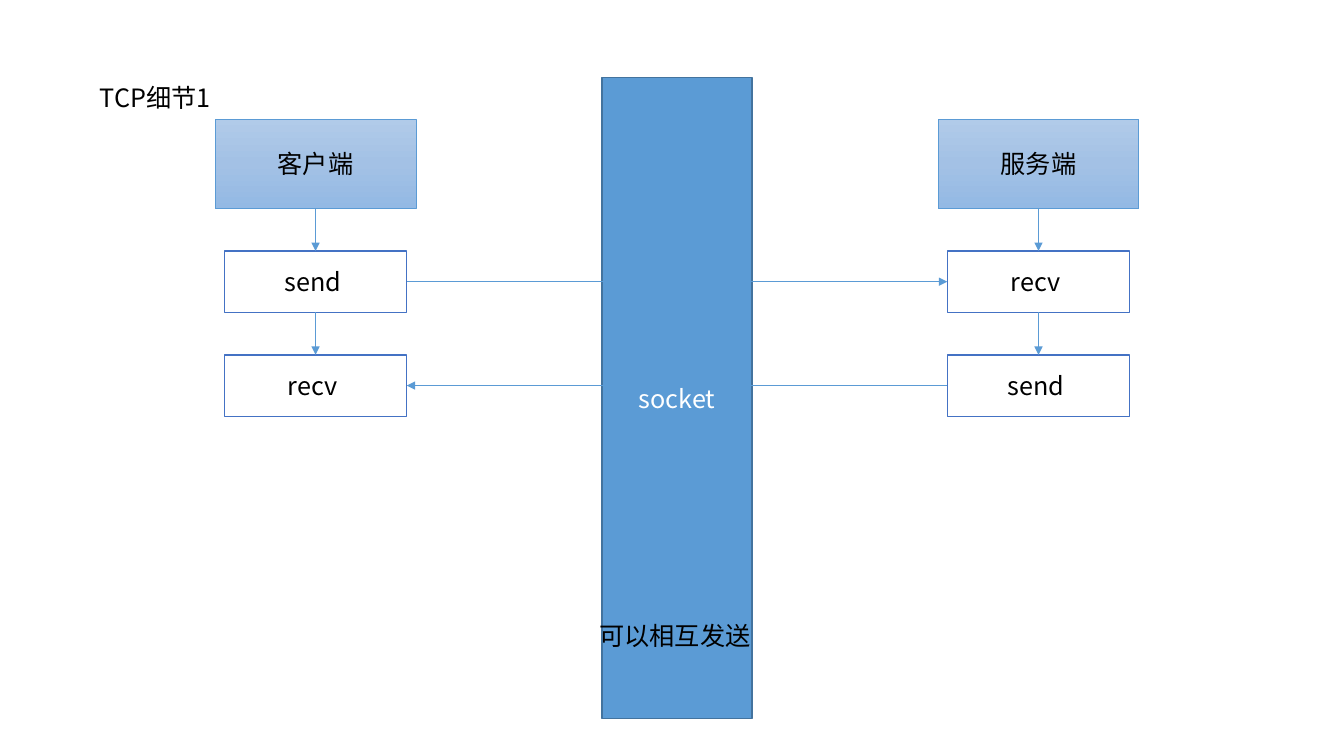
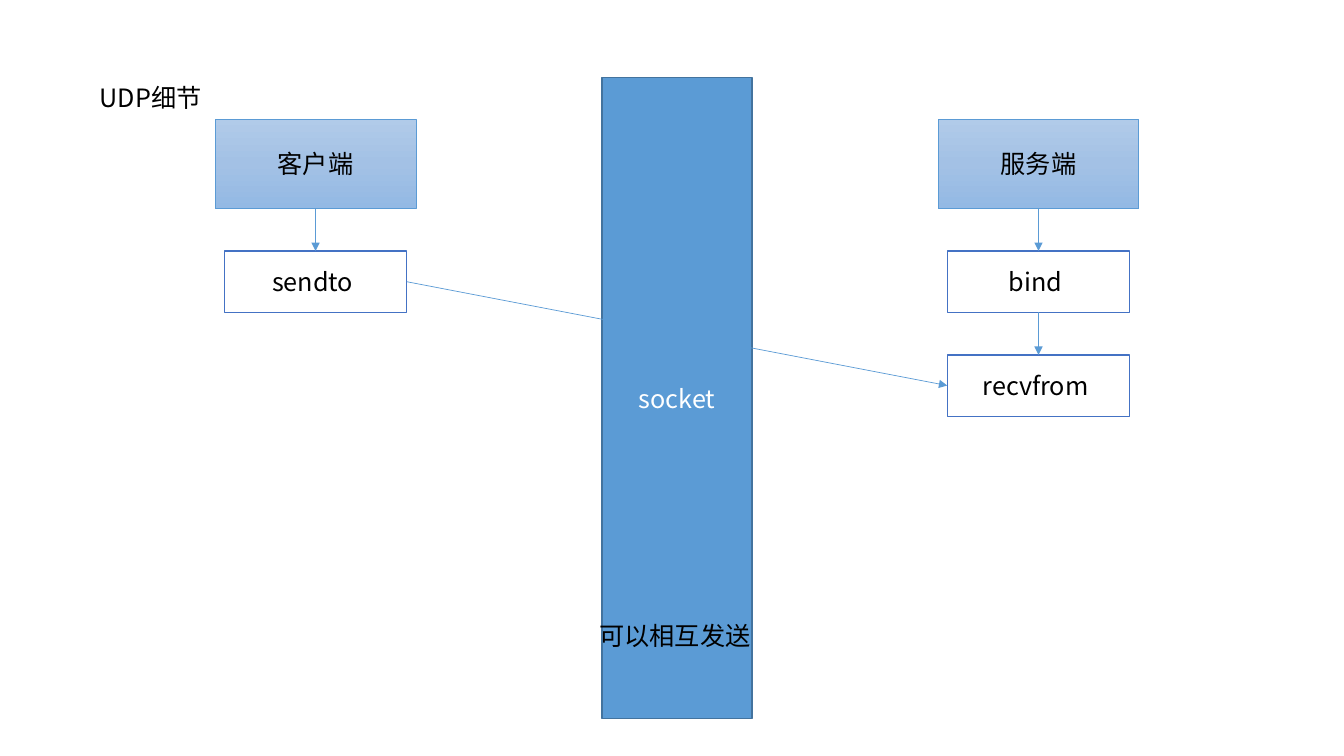
from copy import deepcopy
from dataclasses import dataclass
from itertools import pairwise

from lxml import etree
from pptx import Presentation
from pptx.dml.color import RGBColor
from pptx.enum.shapes import MSO_CONNECTOR, MSO_SHAPE
from pptx.enum.text import MSO_ANCHOR, MSO_AUTO_SIZE, PP_ALIGN
from pptx.oxml.ns import qn
from pptx.shapes.autoshape import Shape
from pptx.slide import Slide
from pptx.text.text import TextFrame
from pptx.util import Inches, Pt

RECT = MSO_SHAPE.RECTANGLE
STRAIGHT = MSO_CONNECTOR.STRAIGHT
TOP, MIDDLE = MSO_ANCHOR.TOP, MSO_ANCHOR.MIDDLE
LEFT_ALIGN, CENTER = PP_ALIGN.LEFT, PP_ALIGN.CENTER
GROW = MSO_AUTO_SIZE.SHAPE_TO_FIT_TEXT

FONT = "Noto Sans CJK SC"
SIZE = 18
BLACK, WHITE = "000000", "FFFFFF"
BLUE, DARK_BLUE, STEP_BLUE = "5B9BD5", "43739E", "4472C4"
GRADIENT = ((0, "B1CBE9"), (0.5, "A3C1E5"), (1, "93B9E4"))

TITLE_ONLY = 5
SITE_TOP, SITE_LEFT, SITE_BOTTOM, SITE_RIGHT = range(4)
CLIENT_X, SERVER_X = 3.13, 10.3
HEAD_Y, HEAD_W, HEAD_H = 1.18, 1.99, 0.89
STEP_Y, STEP_W, STEP_H, STEP_PITCH = 2.49, 1.81, 0.61, 1.03


@dataclass(frozen=True)
class Box:
    left: float
    top: float
    width: float
    height: float


@dataclass(frozen=True)
class Message:
    client_step: int
    server_step: int
    to_server: bool


@dataclass(frozen=True)
class Exchange:
    title: str
    client: tuple[str, ...]
    server: tuple[str, ...]
    messages: tuple[Message, ...]


TITLE_BOX = Box(0.89, 0.77, 1.39, 0.4)
SOCKET_BOX = Box(5.97, 0.77, 1.49, 6.36)
CAPTION_BOX = Box(5.79, 6.11, 1.84, 0.4)

EXCHANGES = (
    Exchange("TCP细节1", ("send ", "recv "), ("recv ", "send "),
             (Message(0, 0, True), Message(1, 1, False))),
    Exchange("UDP细节", ("sendto ",), ("bind ", "recvfrom "),
             (Message(0, 1, True),)),
)


def rgb(value: str) -> RGBColor:
    return RGBColor.from_string(value)


def place(box: Box) -> tuple[int, int, int, int]:
    return (Inches(box.left), Inches(box.top),
            Inches(box.width), Inches(box.height))


def write(tf: TextFrame, text: str, color: str, align: PP_ALIGN,
          anchor: MSO_ANCHOR) -> None:
    tf.text = text
    tf.word_wrap = True
    tf.vertical_anchor = anchor
    p = tf.paragraphs[0]
    p.alignment = align
    r = p.runs[0]
    r.font.size = Pt(SIZE)
    r.font.name = FONT
    r.font.color.rgb = rgb(color)
    etree.SubElement(r.font._element, qn("a:ea"), typeface=FONT)


def add_rect(s: Slide, box: Box, text: str, fill: str, line: str,
             weight: float, color: str = BLACK) -> Shape:
    sp = s.shapes.add_shape(RECT, *place(box))
    sp.shadow.inherit = False
    sp.fill.solid()
    sp.fill.fore_color.rgb = rgb(fill)
    sp.line.color.rgb = rgb(line)
    sp.line.width = Pt(weight)
    write(sp.text_frame, text, color, CENTER, MIDDLE)
    return sp


def apply_gradient(sp: Shape) -> None:
    sp.fill.gradient()
    sp.fill.gradient_angle = 270
    first = sp._element.spPr.find(".//" + qn("a:gs"))
    first.addnext(deepcopy(first))
    for stop, (position, color) in zip(sp.fill.gradient_stops, GRADIENT):
        stop.position = position
        stop.color.rgb = rgb(color)


def add_arrow(s: Slide, start: Shape, start_site: int,
              end: Shape, end_site: int) -> None:
    arrow = s.shapes.add_connector(STRAIGHT, 0, 0, 0, 0)
    arrow.begin_connect(start, start_site)
    arrow.end_connect(end, end_site)
    arrow.line.color.rgb = rgb(BLUE)
    arrow.line.width = Pt(0.5)
    etree.SubElement(arrow.line._get_or_add_ln(), qn("a:tailEnd"),
                     type="triangle")
    etree.SubElement(arrow._element.spPr, qn("a:effectLst"))


def add_column(s: Slide, center: float, name: str,
               labels: tuple[str, ...]) -> list[Shape]:
    head_box = Box(center - HEAD_W / 2, HEAD_Y, HEAD_W, HEAD_H)
    head = add_rect(s, head_box, name, BLUE, BLUE, 0.5)
    apply_gradient(head)
    steps = [
        add_rect(s, Box(center - STEP_W / 2, STEP_Y + i * STEP_PITCH,
                        STEP_W, STEP_H), label, WHITE, STEP_BLUE, 1)
        for i, label in enumerate(labels)
    ]
    for upper, lower in pairwise([head, *steps]):
        add_arrow(s, upper, SITE_BOTTOM, lower, SITE_TOP)
    return steps


def add_title(s: Slide, text: str) -> None:
    title = s.shapes.title
    title.left, title.top, title.width, title.height = place(TITLE_BOX)
    write(title.text_frame, text, BLACK, LEFT_ALIGN, TOP)
    title.text_frame.auto_size = GROW


def add_caption(s: Slide) -> None:
    tf = s.shapes.add_textbox(*place(CAPTION_BOX)).text_frame
    write(tf, " 可以相互发送", BLACK, LEFT_ALIGN, TOP)
    tf.auto_size = GROW


def add_exchange(prs: Presentation, exchange: Exchange) -> None:
    s = prs.slides.add_slide(prs.slide_layouts[TITLE_ONLY])
    add_title(s, exchange.title)
    add_rect(s, SOCKET_BOX, "socket", BLUE, DARK_BLUE, 1, WHITE)
    client = add_column(s, CLIENT_X, "客户端", exchange.client)
    server = add_column(s, SERVER_X, "服务端", exchange.server)
    for message in exchange.messages:
        ends = [(client[message.client_step], SITE_RIGHT),
                (server[message.server_step], SITE_LEFT)]
        start, end = ends if message.to_server else reversed(ends)
        add_arrow(s, *start, *end)
    add_caption(s)


prs = Presentation()
prs.slide_width, prs.slide_height = Inches(13.33), Inches(7.5)
for exchange in EXCHANGES:
    add_exchange(prs, exchange)
prs.save("out.pptx")
